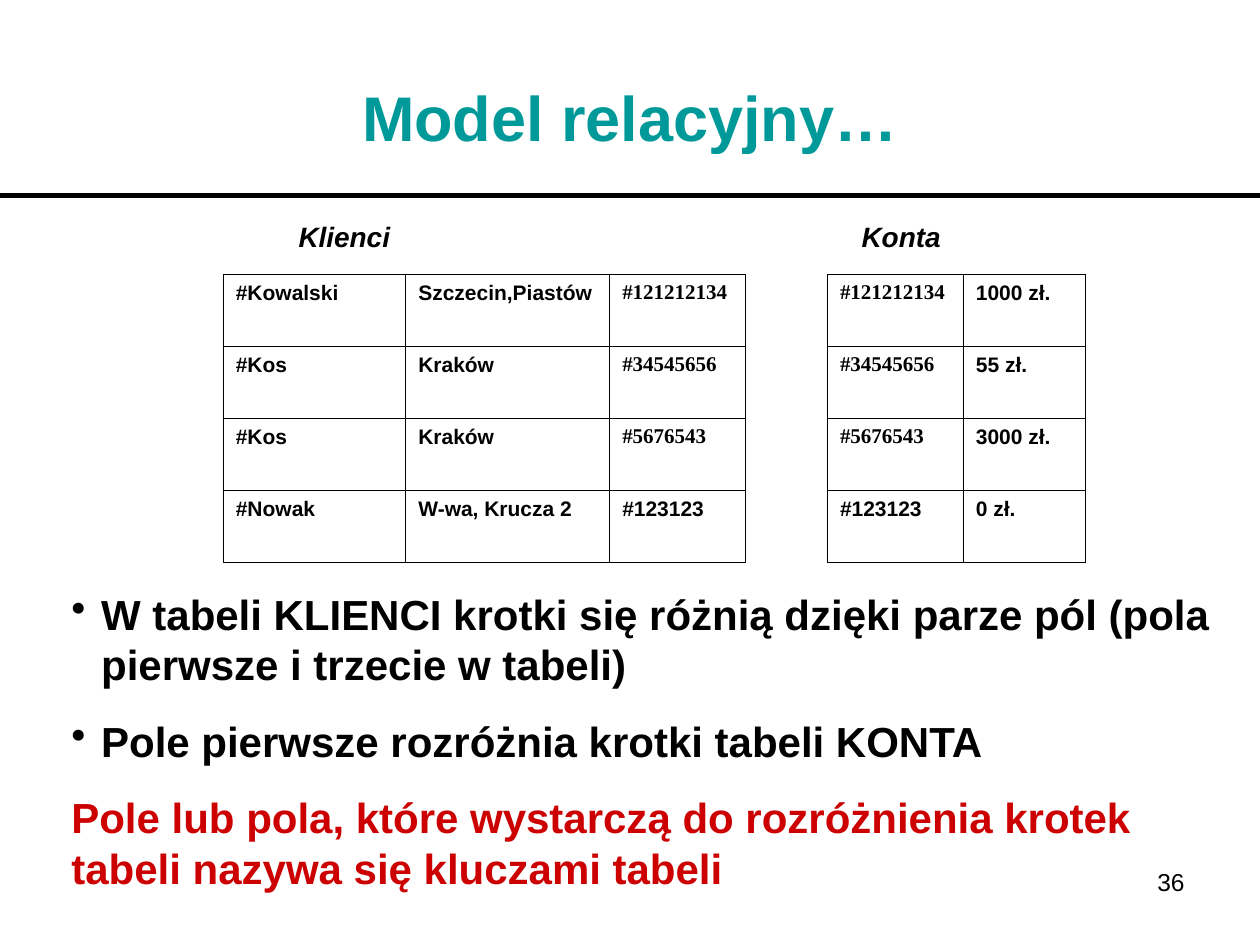
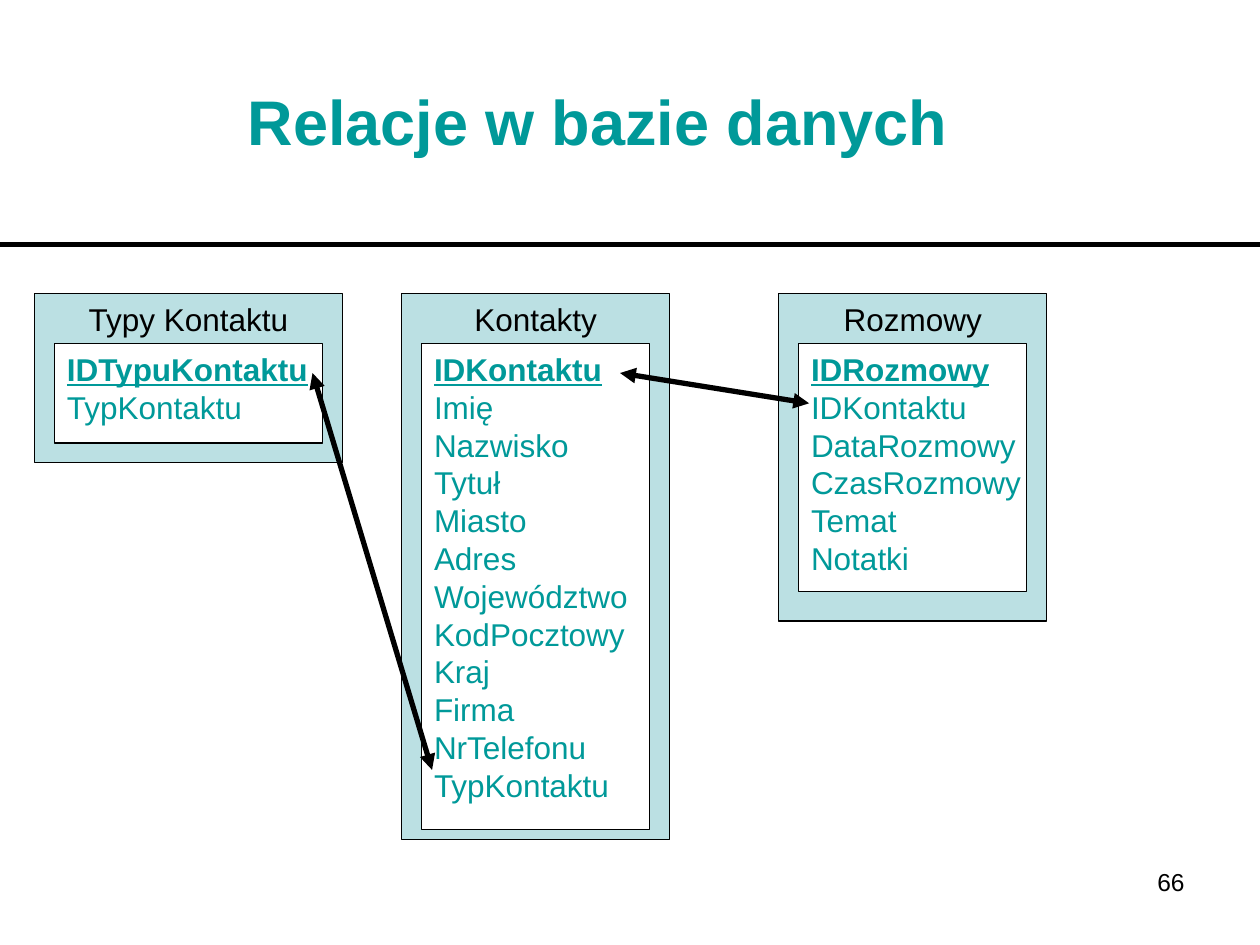
from dataclasses import dataclass

from lxml.etree import SubElement
from pptx import Presentation
from pptx.dml.color import RGBColor as RGB
from pptx.enum.shapes import MSO_CONNECTOR as Link, MSO_SHAPE as Shape
from pptx.enum.text import MSO_ANCHOR as Anchor, PP_ALIGN as Align
from pptx.oxml.ns import qn
from pptx.util import Cm, Pt


@dataclass(frozen=True)
class Theme:
    font: str = "Arial"
    serif: str = "Times New Roman"
    ink: str = "000000"
    teal: str = "009999"
    pale: str = "BBE0E3"
    white: str = "FFFFFF"
    red: str = "CC0000"
    title: int = 36
    body: int = 24
    field: int = 18
    label: int = 16
    page: int = 14
    cell: int = 12
    rule: float = 3
    edge: float = 0.75
    grid: float = 0.45


LOOK = Theme()
WIDE, HIGH = 25.4, 19.05


def write(frame, text, size=LOOK.field, color=LOOK.ink, font=LOOK.font, bold=False,
          italic=False, under=False, align=Align.LEFT, before=0, bullet=False):
    """Fill the blank first paragraph of the frame, or add one after the rest."""
    para = frame.paragraphs[0]
    if para.runs:
        para = frame.add_paragraph()
    para.alignment = align
    para.space_before = Pt(before)
    run = para.add_run()
    run.text = text
    face = run.font
    face.name, face.size, face.color.rgb = font, Pt(size), RGB.from_string(color)
    face.bold, face.italic, face.underline = bold, italic, under
    if bullet:
        props = para._p.get_or_add_pPr()
        props.set("marL", str(Cm(0.6)))
        props.set("indent", str(-Cm(0.6)))
        SubElement(props, qn("a:buChar"), char="•")


def border(cell, sides):
    """Draw the named sides (of L, R, T, B) and blank the others."""
    props = cell._tc.get_or_add_tcPr()
    for place, side in enumerate("LRTB"):
        line = SubElement(props, qn(f"a:ln{side}"), w=str(Pt(LOOK.grid)))
        if side in sides:
            fill = SubElement(line, qn("a:solidFill"))
            SubElement(fill, qn("a:srgbClr"), val=LOOK.ink)
        else:
            SubElement(line, qn("a:noFill"))
        props.insert(place, line)


class Deck:
    def __init__(self, look):
        self.look = look
        self.file = Presentation()
        self.file.slide_width, self.file.slide_height = Cm(WIDE), Cm(HIGH)

    def start(self, title, box, rule, page):
        """Open a slide with its title, the rule below it and the page number."""
        self.slide = self.file.slides.add_slide(self.file.slide_layouts[5])
        self.shapes = self.slide.shapes
        head = self.shapes.title
        head.left, head.top, head.width, head.height = map(Cm, box)
        head.text_frame.vertical_anchor = Anchor.MIDDLE
        write(head.text_frame, title, size=self.look.title, color=self.look.teal,
              bold=True, align=Align.CENTER)
        self.line((0, rule), (WIDE, rule))
        write(self.text(18.21, 17.35, 5.92, 1.32), page, size=self.look.page,
              align=Align.RIGHT)

    def text(self, x, y, w, h):
        frame = self.shapes.add_textbox(Cm(x), Cm(y), Cm(w), Cm(h)).text_frame
        frame.word_wrap = True
        return frame

    def rect(self, x, y, w, h, fill):
        box = self.shapes.add_shape(Shape.RECTANGLE, Cm(x), Cm(y), Cm(w), Cm(h))
        box.shadow.inherit = False
        box.fill.solid()
        box.fill.fore_color.rgb = RGB.from_string(fill)
        box.line.color.rgb = RGB.from_string(self.look.ink)
        box.line.width = Pt(self.look.edge)
        frame = box.text_frame
        frame.word_wrap = False
        frame.vertical_anchor = Anchor.TOP
        return frame

    def line(self, start, end, heads=False):
        link = self.shapes.add_connector(Link.STRAIGHT, *map(Cm, start + end))
        link.line.color.rgb = RGB.from_string(self.look.ink)
        link.line.width = Pt(self.look.rule)
        SubElement(link._element.spPr, qn("a:effectLst"))
        if heads:
            for tip in ("a:headEnd", "a:tailEnd"):
                SubElement(link.line._get_or_add_ln(), qn(tip), type="triangle")

    def table(self, x, y, cols, high, rows):
        """Place a grid in which a None cell is a gap between two blocks."""
        table = self.shapes.add_table(len(rows), len(cols), Cm(x), Cm(y),
                                      Cm(sum(cols)), Cm(high * len(rows))).table
        table.first_row = table.horz_banding = False
        for col, wide in zip(table.columns, cols):
            col.width = Cm(wide)
        for i, row in enumerate(rows):
            table.rows[i].height = Cm(high)
            for j, word in enumerate(row):
                cell = table.cell(i, j)
                cell.fill.background()
                border(cell, "LRTB" if word else "LR")
                if word:
                    serif = j in (2, 4) and i < len(rows) - 1
                    write(cell.text_frame, word, size=self.look.cell, bold=True,
                          font=self.look.serif if serif else self.look.font)

    def entity(self, name, key, fields, x, w, outer, inner):
        """Draw a named frame holding a list of fields, the key first."""
        top, inset = 5.92, 0.4
        write(self.rect(x, top, w, outer, self.look.pale), name, align=Align.CENTER)
        frame = self.rect(x + inset, top + 1.01, w - 2 * inset, inner, self.look.white)
        write(frame, key, color=self.look.teal, bold=True, under=True)
        for field in fields:
            write(frame, field, color=self.look.teal)


def model(deck):
    deck.start("Model relacyjny…", (1.27, 0.76, 22.86, 3.18), 3.94, "36")
    for name, x in (("Klienci", 5.77), ("Konta", 17.12)):
        write(deck.text(x, 4.3, 4, 0.9), name, size=LOOK.label, bold=True, italic=True)

    clients = [
        ("#Kowalski", "Szczecin,Piastów", "#121212134", "1000 zł."),
        ("#Kos", "Kraków", "#34545656", "55 zł."),
        ("#Kos", "Kraków", "#5676543", "3000 zł."),
        ("#Nowak", "W-wa, Krucza 2", "#123123", "0 zł."),
    ]
    rows = [(name, town, code, None, code, sum_)
            for name, town, code, sum_ in clients]
    deck.table(4.5, 5.54, (3.68, 4.11, 2.74, 1.65, 2.74, 2.46), 1.45, rows)

    notes = deck.text(1.19, 11.73, 24.21, 6.4)
    style = dict(size=LOOK.body, bold=True, before=15)
    for point in (
        "W tabeli KLIENCI krotki się różnią dzięki parze pól "
        "(pola pierwsze i trzecie w tabeli)",
        "Pole pierwsze rozróżnia krotki tabeli KONTA",
    ):
        write(notes, point, bullet=True, **style)
    write(notes, "Pole lub pola, które wystarczą do rozróżnienia krotek "
          "tabeli nazywa się kluczami tabeli", color=LOOK.red, **style)


def links(deck):
    deck.start("Relacje w bazie danych", (1.47, 1.47, 21.16, 1.9), 4.93, "66")
    deck.entity("Kontakty", "IDKontaktu",
                ("Imię", "Nazwisko", "Tytuł", "Miasto", "Adres", "Województwo",
                 "KodPocztowy", "Kraj", "Firma", "NrTelefonu", "TypKontaktu"),
                8.1, 5.4, 11, 9.8)
    deck.entity("Typy Kontaktu", "IDTypuKontaktu", ("TypKontaktu",),
                0.7, 6.2, 3.4, 2)
    deck.entity("Rozmowy", "IDRozmowy",
                ("IDKontaktu", "DataRozmowy", "CzasRozmowy", "Temat", "Notatki"),
                15.7, 5.4, 6.6, 5)
    deck.line((6.3, 7.52), (8.71, 15.52), heads=True)
    deck.line((12.5, 7.52), (16.31, 8.13), heads=True)


def main():
    deck = Deck(LOOK)
    model(deck)
    links(deck)
    deck.file.save("out.pptx")


if __name__ == "__main__":
    main()
